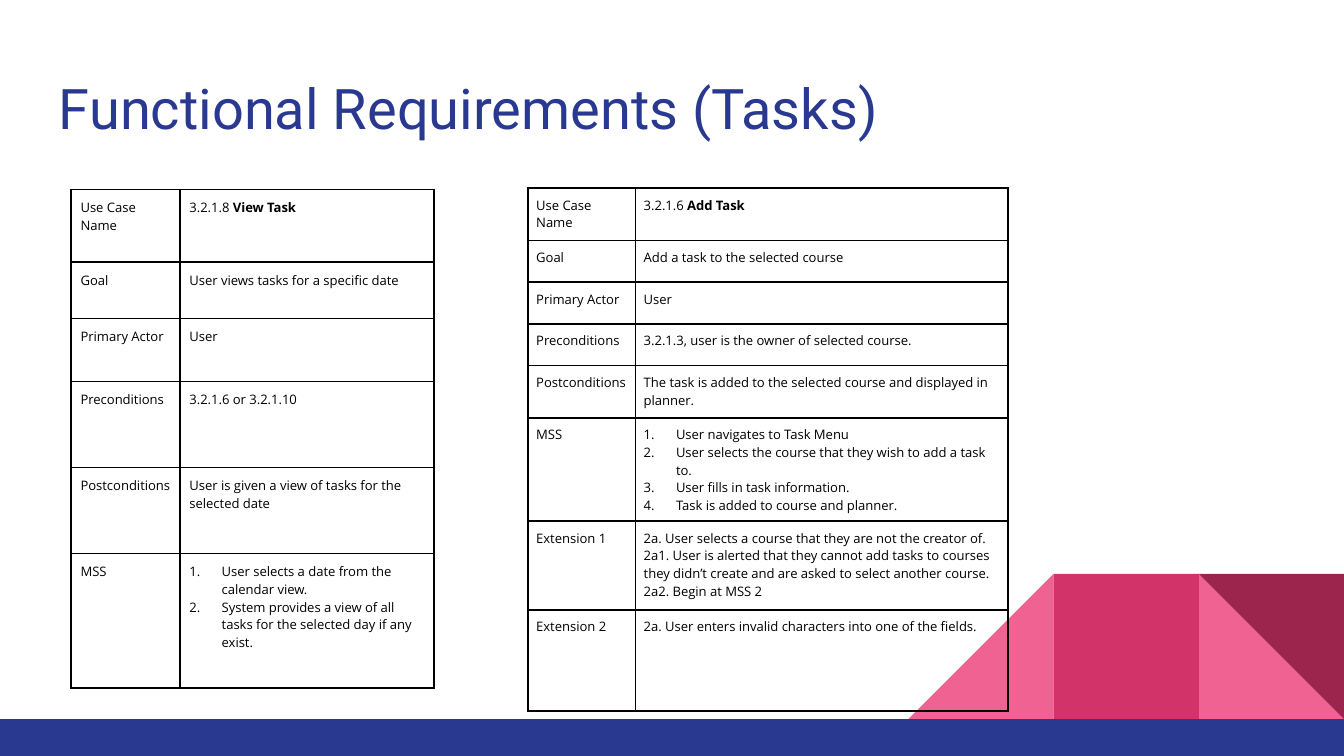
from dataclasses import dataclass

from lxml import etree
from pptx import Presentation
from pptx.dml.color import RGBColor
from pptx.enum import shapes, text
from pptx.oxml import ns
from pptx.util import Inches, Pt


@dataclass(frozen=True)
class Theme:
    navy: str = "2A3990"
    pink: str = "F06292"
    rose: str = "D23369"
    wine: str = "9C254D"
    ink: str = "000000"
    title_font: str = "Roboto"
    body_font: str = "Open Sans"
    title_size: int = 30
    body_size: int = 7
    border: int = 1
    list_indent: float = 0.24


def add_run(paragraph, content, *, font, size, color, bold=False):
    run = paragraph.add_run()
    run.text = content
    run.font.name = font
    run.font.size = Pt(size)
    run.font.bold = bold
    run.font.color.rgb = RGBColor.from_string(color)


class SlideBuilder:
    def __init__(self, slide, theme):
        self.slide = slide
        self.theme = theme

    def block(self, kind, left, top, width, height, color, rotation=0, mirrored=False):
        shape = self.slide.shapes.add_shape(
            kind, Inches(left), Inches(top), Inches(width), Inches(height))
        shape.shadow.inherit = False
        shape.fill.solid()
        shape.fill.fore_color.rgb = RGBColor.from_string(color)
        shape.line.fill.background()
        shape.rotation = rotation
        if mirrored:
            shape._element.spPr.xfrm.set("flipH", "1")

    def title(self, content, left, top, width, height):
        box = self.slide.shapes.add_textbox(
            Inches(left), Inches(top), Inches(width), Inches(height))
        frame = box.text_frame
        frame.word_wrap = True
        frame.vertical_anchor = text.MSO_ANCHOR.TOP
        frame.margin_left = frame.margin_right = Inches(0.1)
        frame.margin_top = frame.margin_bottom = Inches(0.1)
        add_run(frame.paragraphs[0], content, font=self.theme.title_font,
                size=self.theme.title_size, color=self.theme.navy)

    def number(self, paragraph):
        properties = paragraph._p.get_or_add_pPr()
        indent = Inches(self.theme.list_indent)
        properties.set("marL", str(indent))
        properties.set("indent", str(-indent))
        color = etree.SubElement(properties, ns.qn("a:buClr"))
        etree.SubElement(color, ns.qn("a:srgbClr"), val=self.theme.ink)
        etree.SubElement(properties, ns.qn("a:buFont"), typeface=self.theme.body_font)
        etree.SubElement(properties, ns.qn("a:buAutoNum"), type="arabicPeriod")

    def borders(self, cell):
        properties = cell._tc.get_or_add_tcPr()
        for position, side in enumerate(("lnL", "lnR", "lnT", "lnB")):
            line = etree.Element(ns.qn(f"a:{side}"), w=str(Pt(self.theme.border)))
            fill = etree.SubElement(line, ns.qn("a:solidFill"))
            etree.SubElement(fill, ns.qn("a:srgbClr"), val=self.theme.ink)
            properties.insert(position, line)

    def cell(self, cell, lines, margin, numbered=False):
        """Fill a cell; a line is a string or a (plain, bold) pair."""
        cell.margin_left = cell.margin_right = Inches(margin)
        cell.margin_top = cell.margin_bottom = Inches(margin)
        cell.fill.background()
        self.borders(cell)
        frame = cell.text_frame
        for index, line in enumerate(lines):
            paragraph = frame.add_paragraph() if index else frame.paragraphs[0]
            if numbered:
                self.number(paragraph)
            parts = (line,) if isinstance(line, str) else line
            for part, content in enumerate(parts):
                add_run(paragraph, content, font=self.theme.body_font,
                        size=self.theme.body_size, color=self.theme.ink, bold=part == 1)

    def use_case(self, left, top, columns, heights, margin, entries):
        frame = self.slide.shapes.add_table(
            len(entries), len(columns), Inches(left), Inches(top),
            Inches(sum(columns)), Inches(sum(heights)))
        table = frame.table
        table.first_row = table.horz_banding = False
        for column, width in zip(table.columns, columns):
            column.width = Inches(width)
        for row, height, (label, lines) in zip(table.rows, heights, entries):
            row.height = Inches(height)
            self.cell(row.cells[0], [label], margin)
            self.cell(row.cells[1], lines, margin, numbered=label == "MSS")


VIEW_TASK = [
    ("Use Case Name", [("3.2.1.8 ", "View Task")]),
    ("Goal", ["User views tasks for a specific date"]),
    ("Primary Actor", ["User"]),
    ("Preconditions", ["3.2.1.6 or 3.2.1.10"]),
    ("Postconditions", ["User is given a view of tasks for the selected date"]),
    ("MSS", [
        "User selects a date from the calendar view.",
        "System provides a view of all tasks for the selected day if any exist.",
    ]),
]

ADD_TASK = [
    ("Use Case Name", [("3.2.1.6 ", "Add Task")]),
    ("Goal", ["Add a task to the selected course"]),
    ("Primary Actor", ["User"]),
    ("Preconditions", ["3.2.1.3, user is the owner of selected course."]),
    ("Postconditions", ["The task is added to the selected course and displayed in planner."]),
    ("MSS", [
        "User navigates to Task Menu",
        "User selects the course that they wish to add a task to.",
        "User fills in task information.",
        "Task is added to course and planner.",
    ]),
    ("Extension 1", [
        "2a. User selects a course that they are not the creator of.",
        "2a1. User is alerted that they cannot add tasks to courses they didn’t create "
        "and are asked to select another course.",
        "2a2. Begin at MSS 2",
    ]),
    ("Extension 2", ["2a. User enters invalid characters into one of the fields."]),
]


def main():
    presentation = Presentation()
    presentation.slide_width = Inches(10)
    presentation.slide_height = Inches(10) * 9 // 16
    slide = presentation.slides.add_slide(presentation.slide_layouts[6])
    theme = Theme()
    builder = SlideBuilder(slide, theme)

    # Corner decoration: three square tiles above the footer band
    side, top = 1.08, 4.27
    first, second, third = (10 - side * count for count in (3, 2, 1))
    triangle = shapes.MSO_SHAPE.RIGHT_TRIANGLE
    rectangle = shapes.MSO_SHAPE.RECTANGLE
    builder.block(triangle, third, top, side, side, theme.pink)
    builder.block(triangle, first, top, side, side, theme.pink, mirrored=True)
    builder.block(rectangle, second, top, side, side, theme.rose)
    builder.block(triangle, third, top, side, side, theme.wine, rotation=180)
    builder.block(rectangle, 0, top + side, 10, 0.28, theme.navy)

    # Title
    builder.title("Functional Requirements (Tasks)", 0.34, 0.45, 9.32, 0.66)

    # Use case tables
    builder.use_case(0.53, 1.41, [0.81, 1.89],
                     [0.54, 0.42, 0.47, 0.64, 0.64, 1], 0.07, VIEW_TASK)
    builder.use_case(3.93, 1.4, [0.8, 2.77],
                     [0.39, 0.31, 0.31, 0.31, 0.39, 0.77, 0.66, 0.75], 0.06, ADD_TASK)

    presentation.save("out.pptx")


if __name__ == "__main__":
    main()
